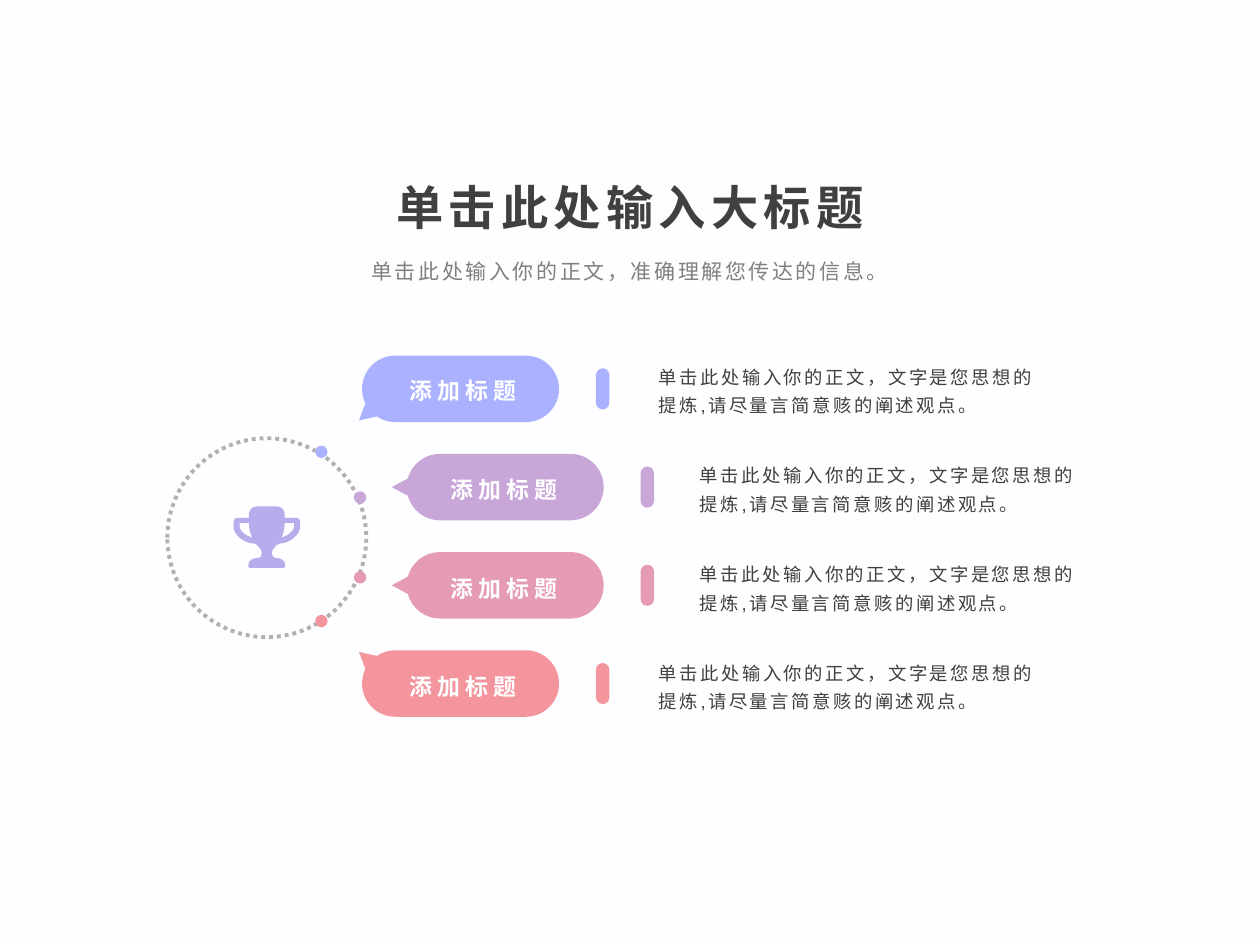
"""Build a slide with four speech balloons around a trophy ring."""
from dataclasses import dataclass
from itertools import islice
from math import cos, radians, sin, tan

from pptx import Presentation
from pptx import util as u
from pptx.dml.color import RGBColor
from pptx.enum import dml, shapes, text
from pptx.oxml import ns, parse_xml
from pptx.shapes.autoshape import Shape
from pptx.slide import Slide

Point = tuple[float, float]
Step = list[Point]

BACKDROP = RGBColor(0xFE, 0xFD, 0xFF)
BLUE = RGBColor(0xAA, 0xB2, 0xFF)
LILAC = RGBColor(0xC8, 0xA6, 0xD8)
ROSE = RGBColor(0xE5, 0x9B, 0xB1)
CORAL = RGBColor(0xF4, 0x95, 0x9E)
TROPHY = RGBColor(0xB9, 0xAC, 0xEC)
BLACK = RGBColor(0, 0, 0)
WHITE = RGBColor(0xFF, 0xFF, 0xFF)
DARK = RGBColor(0x40, 0x40, 0x40)
GREY = RGBColor(0x80, 0x80, 0x80)

FONT = "Arial"
HEADING = "添加标题"
CAPTION = "单击此处输入你的正文，文字是您思想的提炼,请尽量言简意赅的阐述观点。"

RING_X, RING_Y, RING_SIZE = 5.38, 10.84, 4.01
FIRST_ROW, ROW_PITCH = 7.84, 1.98
FIRST_TEXT, TEXT_PITCH = 7.82, 1.99
SHAPE_INDENT, TEXT_INDENT = 0.9, 0.83
BALLOON_X, BALLOON_RADIUS, BALLOON_RUN = 7.97, 0.67, 2.63
TAIL_LENGTH, TAIL_HALF_ANGLE = 0.97, 15
DOT = 0.25

TROPHY_TOP = 10.21
CUP_START = (0.22, 0)
CUP_HALF = [
    [(0.29, 0), (0.36, 0.08), (0.36, 0.15)], [(0.36, 0.23)],
    [(0.57, 0.23)], [(0.64, 0.23), (0.67, 0.25), (0.67, 0.3)], [(0.67, 0.41)],
    [(0.67, 0.56), (0.48, 0.74), (0.25, 0.75)],
    [(0.2, 0.76), (0.17, 0.8), (0.17, 0.81)],
    [(0.13, 0.84), (0.1, 0.89), (0.1, 0.94)],
    [(0.1, 1), (0.13, 1.04), (0.2, 1.04)],
    [(0.28, 1.04), (0.37, 1.09), (0.37, 1.17)], [(0.37, 1.22)],
    [(0.37, 1.24), (0.36, 1.24), (0.34, 1.24)],
]
HOLE_START = (0.36, 0.33)
HANDLE_HOLE = [
    [(0.55, 0.33)], [(0.55, 0.41)],
    [(0.55, 0.48), (0.45, 0.58), (0.29, 0.63)],
    [(0.33, 0.56), (0.36, 0.46), (0.36, 0.33)],
]


@dataclass(frozen=True)
class Topic:
    color: RGBColor
    tail_angle: float
    dot_center: Point
    indented: bool


@dataclass(frozen=True)
class Contour:
    start: Point
    steps: list[Step]


@dataclass(frozen=True)
class Style:
    size: float
    color: RGBColor
    spacing: int
    line_spacing: float
    bold: bool = False
    align: text.PP_ALIGN = text.PP_ALIGN.CENTER
    anchor: text.MSO_ANCHOR = text.MSO_ANCHOR.MIDDLE


TOPICS = [
    Topic(BLUE, 139, (6.48, 9.11), False),
    Topic(LILAC, 180, (7.26, 10.03), True),
    Topic(ROSE, 180, (7.26, 11.64), True),
    Topic(CORAL, 221, (6.48, 12.52), False),
]
TITLE_STYLE = Style(27, DARK, 300, 1.2, bold=True)
SUBTITLE_STYLE = Style(12, GREY, 150, 1.3, anchor=text.MSO_ANCHOR.TOP)
HEADING_STYLE = Style(13.1, WHITE, 300, 1.2, bold=True)
CAPTION_STYLE = Style(10.5, DARK, 150, 1.3, align=text.PP_ALIGN.LEFT)


def polar(x: float, y: float, radius: float, angle: float) -> Point:
    """Return the point at an angle, clockwise from the right."""
    return x + radius * cos(radians(angle)), y + radius * sin(radians(angle))


def arc(x: float, y: float, start: float, end: float) -> list[Step]:
    """Return the curves of a balloon end, split at the quarter turns."""
    stops = [start, *(q for q in (0, 180) if start < q < end), end]
    curves = []
    for a, b in zip(stops, stops[1:]):
        (x1, y1), (x2, y2) = (polar(x, y, BALLOON_RADIUS, angle) for angle in (a, b))
        reach = 4 / 3 * tan(radians(b - a) / 4)
        curves.append([(x1 - reach * (y1 - y), y1 + reach * (x1 - x)),
                       (x2 + reach * (y2 - y), y2 - reach * (x2 - x)), (x2, y2)])
    return curves


def mirror(step: Step) -> Step:
    """Flip points across the trophy axis."""
    return [(-x, y) for x, y in step]


def retrace(start: Point, steps: list[Step]) -> list[Step]:
    """Return the steps that lead back to the start."""
    origins = [start, *(step[-1] for step in steps)]
    return [[*step[-2::-1], origin] for step, origin in reversed(list(zip(steps, origins)))]


def paint(part: Shape, color: RGBColor) -> None:
    """Give a shape a flat fill only."""
    part.shadow.inherit = False
    part.fill.solid()
    part.fill.fore_color.rgb = color
    part.line.fill.background()


def draw_outline(slide: Slide, x: float, y: float, contours: list[Contour], color: RGBColor) -> None:
    """Draw closed contours of lines and cubic curves as one shape."""
    def pen(point: Point) -> tuple[int, int]:
        return u.Cm(x + point[0]), u.Cm(y + point[1])

    builder = slide.shapes.build_freeform(*pen(contours[0].start))
    for index, contour in enumerate(contours):
        if index:
            builder.move_to(*pen(contour.start))
        builder.add_line_segments([pen(point) for step in contour.steps for point in step])
    part = builder.convert_to_shape()
    lines = iter(list(part._element.iter(ns.qn("a:lnTo"))))
    for contour in contours:
        for step in contour.steps:
            curve, *others = islice(lines, len(step))
            if others:
                curve.tag = ns.qn("a:cubicBezTo")
            for other in others:
                curve.append(other[0])
                other.getparent().remove(other)
    paint(part, color)


def draw_preset(slide: Slide, kind: shapes.MSO_SHAPE, x: float, y: float,
                width: float, height: float, color: RGBColor) -> Shape:
    """Draw a filled preset shape around a centre."""
    part = slide.shapes.add_shape(kind, u.Cm(x - width / 2), u.Cm(y - height / 2),
                                  u.Cm(width), u.Cm(height))
    paint(part, color)
    return part


def write(part: Shape, wording: str, style: Style) -> None:
    """Write one styled run into a shape."""
    frame = part.text_frame
    frame.word_wrap = True
    frame.auto_size = text.MSO_AUTO_SIZE.NONE
    frame.vertical_anchor = style.anchor
    paragraph = frame.paragraphs[0]
    paragraph.alignment = style.align
    paragraph.line_spacing = style.line_spacing
    paragraph.space_before = u.Pt(0)
    run = paragraph.add_run()
    run.text = wording
    run.font.name, run.font.size, run.font.bold = FONT, u.Pt(style.size), style.bold
    run.font.color.rgb = style.color
    properties = run._r.get_or_add_rPr()
    properties.set("spc", str(style.spacing))
    properties.set("lang", "zh-CN")


def place(part: Shape, left: float, top: float, width: float, height: float) -> None:
    """Move and size a placeholder."""
    part.left, part.top, part.width, part.height = map(u.Cm, (left, top, width, height))


def draw_ring(slide: Slide) -> None:
    """Draw the dotted ring."""
    ring = draw_preset(slide, shapes.MSO_SHAPE.OVAL, RING_X, RING_Y, RING_SIZE, RING_SIZE, WHITE)
    ring.fill.background()
    ring.line.color.rgb = BLACK
    ring.line.width = u.Pt(2.25)
    ring.line.dash_style = dml.MSO_LINE.ROUND_DOT
    color = ring._element.spPr.find(".//" + ns.qn("a:srgbClr"))
    color.append(parse_xml(f'<a:alpha {ns.nsdecls("a")} val="30000"/>'))


def draw_trophy(slide: Slide) -> None:
    """Draw the mirrored trophy inside the ring."""
    base = mirror(CUP_HALF[-1][-1:])
    back = [mirror(step) for step in retrace(CUP_START, CUP_HALF)]
    holes = [Contour(HOLE_START, HANDLE_HOLE),
             Contour(mirror([HOLE_START])[0], [mirror(step) for step in HANDLE_HOLE])]
    cup = Contour(CUP_START, [*CUP_HALF, base, *back])
    draw_outline(slide, RING_X, TROPHY_TOP, [cup, *holes], TROPHY)


def draw_topic(slide: Slide, topic: Topic, row: int) -> None:
    """Draw a balloon, its marker, ring dot and wording."""
    shift = SHAPE_INDENT * topic.indented
    y = FIRST_ROW + row * ROW_PITCH
    tail = topic.tail_angle
    steps = [[(BALLOON_RUN, -BALLOON_RADIUS)], *arc(BALLOON_RUN, 0, -90, 90),
             [(0, BALLOON_RADIUS)], *arc(0, 0, 90, tail - TAIL_HALF_ANGLE),
             [polar(0, 0, TAIL_LENGTH, tail)],
             [polar(0, 0, BALLOON_RADIUS, tail + TAIL_HALF_ANGLE)],
             *arc(0, 0, tail + TAIL_HALF_ANGLE, 270)]
    draw_outline(slide, BALLOON_X + shift, y, [Contour((0, -BALLOON_RADIUS), steps)], topic.color)
    marker = draw_preset(slide, shapes.MSO_SHAPE.ROUNDED_RECTANGLE, 12.15 + shift, y,
                         0.27, 0.83, topic.color)
    marker.adjustments[0] = 0.5
    draw_preset(slide, shapes.MSO_SHAPE.OVAL, *topic.dot_center, DOT, DOT, topic.color)
    for left, width, height, wording, style in (
            (7.8, 3.07, 0.94, HEADING, HEADING_STYLE),
            (13.03, 8.15, 1.9, CAPTION, CAPTION_STYLE)):
        top = FIRST_TEXT + row * TEXT_PITCH - height / 2
        box = slide.shapes.add_textbox(u.Cm(left + TEXT_INDENT * topic.indented), u.Cm(top),
                                       u.Cm(width), u.Cm(height))
        write(box, wording, style)


def main() -> None:
    """Compose and save the slide."""
    deck = Presentation()
    deck.slide_width, deck.slide_height = u.Cm(25.4), u.Cm(19.05)
    slide = deck.slides.add_slide(deck.slide_layouts[0])
    slide.background.fill.solid()
    slide.background.fill.fore_color.rgb = BACKDROP
    title, subtitle = slide.shapes.title, slide.placeholders[1]
    place(title, 4.58, 3.18, 16.24, 1.73)
    write(title, "单击此处输入大标题", TITLE_STYLE)
    place(subtitle, 4.63, 4.93, 16.14, 0.84)
    write(subtitle, "单击此处输入你的正文，准确理解您传达的信息。", SUBTITLE_STYLE)
    draw_ring(slide)
    draw_trophy(slide)
    for row, topic in enumerate(TOPICS):
        draw_topic(slide, topic, row)
    deck.save("out.pptx")


if __name__ == "__main__":
    main()
